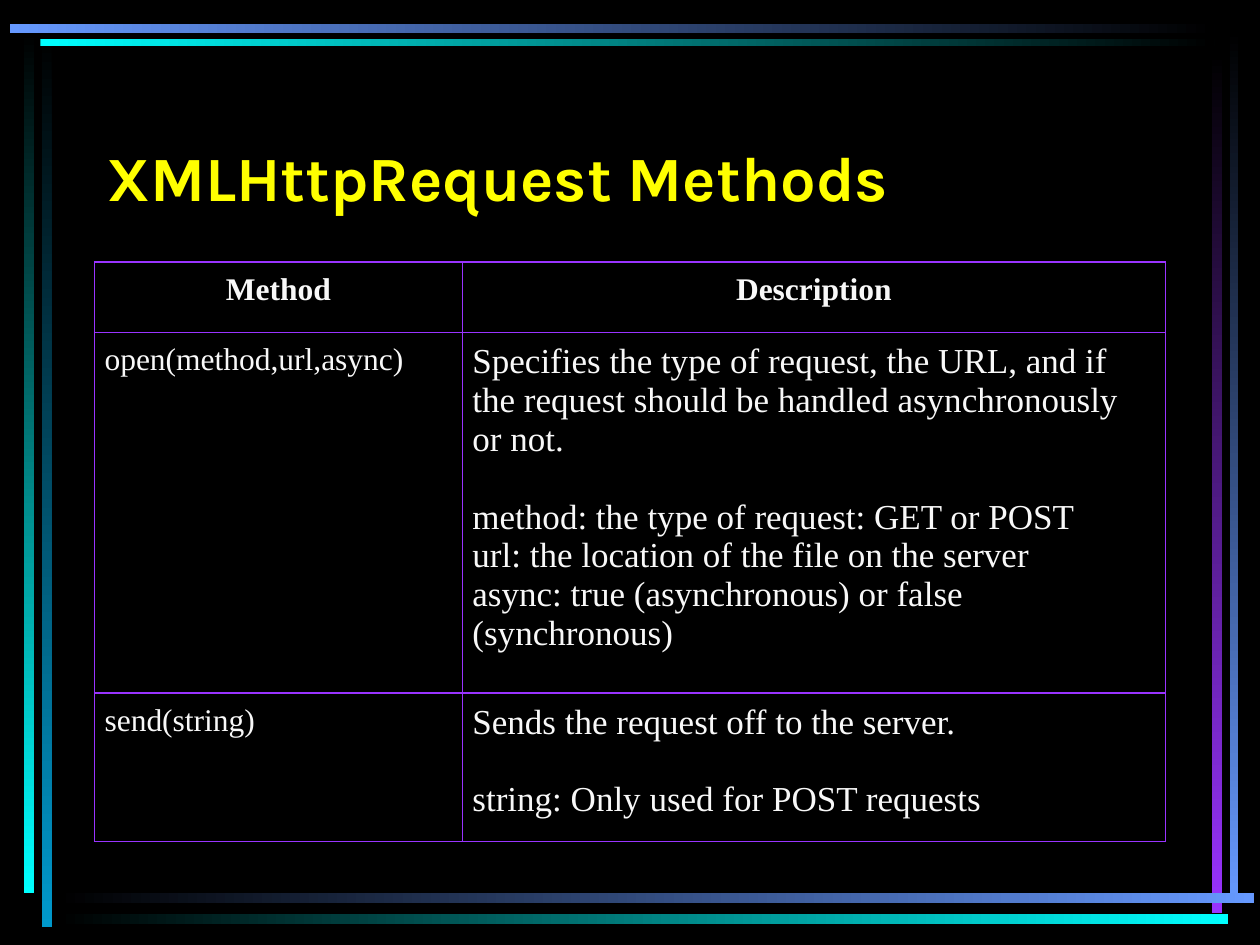
"""Build the XMLHttpRequest methods slide."""
from lxml.etree import SubElement as Sub
from pptx import Presentation
from pptx.dml.color import RGBColor
from pptx.enum.shapes import MSO_SHAPE as Shape
from pptx.enum.text import MSO_ANCHOR as Anchor, PP_ALIGN as Align
from pptx.oxml.ns import qn
from pptx.util import Inches, Pt

TITLE = "XMLHttpRequest Methods"
ROWS = [
    (["Method"], ["Description"]),
    (["open(method,url,async)"],
     ["Specifies the type of request, the URL, and if the request should "
      "be handled asynchronously or not.",
      "method: the type of request: GET or POST",
      "url: the location of the file on the server",
      "async: true (asynchronous) or false (synchronous)"]),
    (["send(string)"],
     ["Sends the request off to the server.",
      "string: Only used for POST requests"]),
]
COLS, HIGHS = (2.92, 5.58), (0.56, 2.86, 1.18)
LEFT, WIDE, TOP = 0.75, 8.5, 2.08
BLACK, CYAN, BLUE = "000000", "00FFFF", "6699FF"
TEAL, PURPLE, YELLOW, PALE = "0099CC", "9933FF", "FFFF00", "F8F8F8"
BARS = [
    (0.33, 0.28, 0.08, 7.08, BLACK, TEAL),
    (0.19, 0.25, 0.08, 6.84, BLACK, CYAN),
    (9.76, 0.24, 0.07, 6.93, BLACK, BLUE),
    (9.62, 0.42, 0.08, 6.83, BLACK, PURPLE),
    (0.45, 7.09, 9.5, 0.08, BLACK, BLUE),
    (0.45, 7.25, 9.3, 0.08, BLACK, CYAN),
    (0.32, 0.31, 9.32, 0.06, CYAN, BLACK),
    (0.08, 0.19, 9.56, 0.07, BLUE, BLACK),
]


def rgb(code):
    """Turn a hex string into a colour."""
    return RGBColor.from_string(code)


def style(para, face, size, code, bold):
    """Format every run of a paragraph."""
    for run in para.runs:
        font = run.font
        font.name, font.size, font.bold = face, Pt(size), bold
        font.color.rgb = rgb(code)


def add_bar(slide, x, y, w, h, start, end):
    """Draw one frame bar that fades along its length."""
    bar = slide.shapes.add_shape(Shape.RECTANGLE, *map(Inches, (x, y, w, h)))
    bar.shadow.inherit = False
    bar.line.fill.background()
    bar.fill.gradient()
    bar.fill.gradient_angle = 0 if w > h else 270
    for stop, code in zip(bar.fill.gradient_stops, (start, end)):
        stop.color.rgb = rgb(code)


def edge(cell):
    """Give a cell its four borders and a clear fill."""
    props = cell._tc.get_or_add_tcPr()
    for side in ("a:lnL", "a:lnR", "a:lnT", "a:lnB"):
        line = Sub(props, qn(side), w=str(Pt(1)))
        Sub(Sub(line, qn("a:solidFill")), qn("a:srgbClr"), val=PURPLE)
    cell.fill.background()


def fill_cell(cell, lines, head, size):
    """Write the lines of a cell, with a gap after the first."""
    edge(cell)
    cell.margin_left = cell.margin_right = Inches(0.08)
    cell.margin_top = cell.margin_bottom = Inches(0.08)
    cell.text_frame.text = "\n".join(lines)
    for i, para in enumerate(cell.text_frame.paragraphs):
        para.alignment = Align.CENTER if head else Align.LEFT
        para.space_before = Pt(22 if i == 1 else 0)
        style(para, "Times New Roman", size, PALE, head)


def add_grid(slide):
    """Place the table of methods."""
    area = map(Inches, (LEFT, TOP, WIDE, sum(HIGHS)))
    grid = slide.shapes.add_table(len(ROWS), len(COLS), *area).table
    grid.first_row = grid.horz_banding = False
    for col, wide in zip(grid.columns, COLS):
        col.width = Inches(wide)
    for r, (row, high) in enumerate(zip(ROWS, HIGHS)):
        grid.rows[r].height = Inches(high)
        for c, lines in enumerate(row):
            fill_cell(grid.cell(r, c), lines, r == 0, 20 if r and c else 18)


def add_title(slide):
    """Place and format the title."""
    title = slide.shapes.title
    title.left, title.top = Inches(LEFT), Inches(0.67)
    title.width, title.height = Inches(WIDE), Inches(1.08)
    frame = title.text_frame
    frame.text = TITLE
    frame.vertical_anchor = Anchor.BOTTOM
    frame.paragraphs[0].alignment = Align.LEFT
    style(frame.paragraphs[0], "Karla", 36, YELLOW, True)


def main():
    """Build and save the deck."""
    deck = Presentation()
    deck.slide_width, deck.slide_height = Inches(10), Inches(7.5)
    slide = deck.slides.add_slide(deck.slide_layouts[5])
    back = slide.background.fill
    back.solid()
    back.fore_color.rgb = rgb(BLACK)
    for bar in BARS:
        add_bar(slide, *bar)
    add_title(slide)
    add_grid(slide)
    deck.save("out.pptx")


if __name__ == "__main__":
    main()
